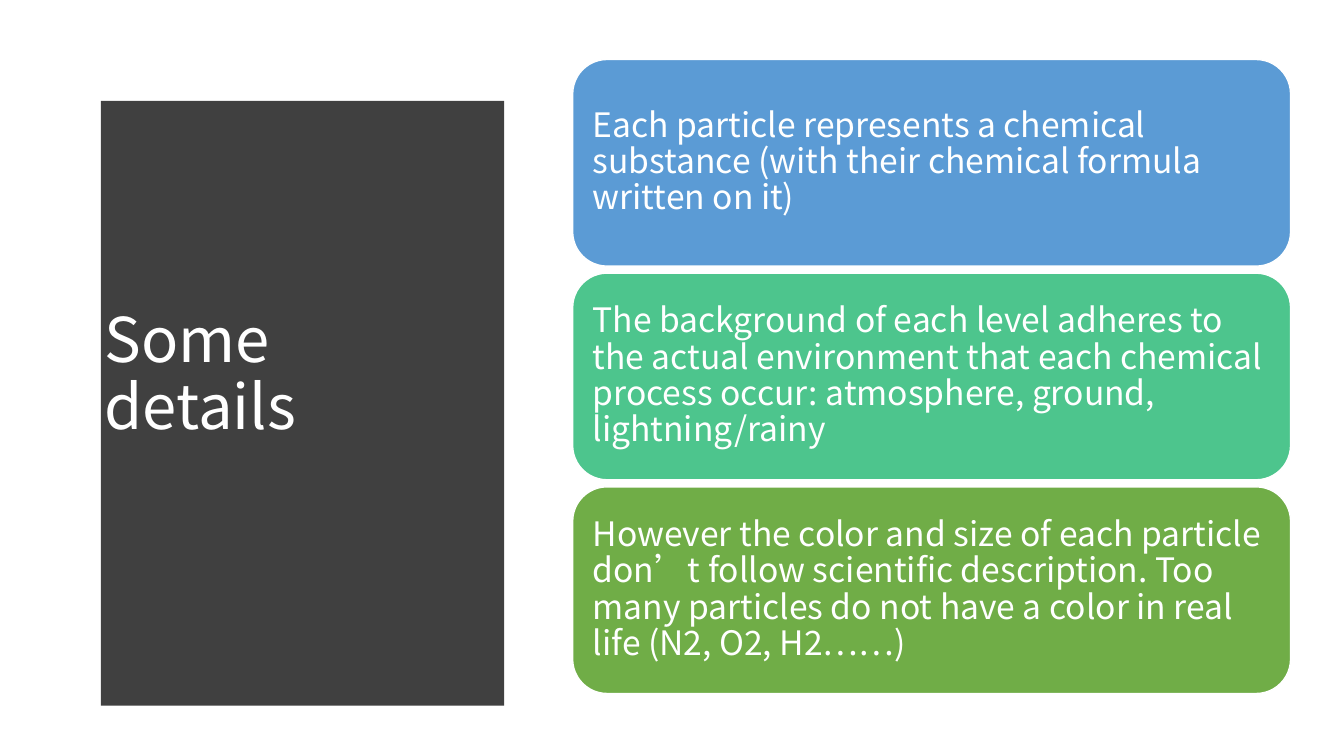
"""Build the "Some details" slide: a curved title panel beside three coloured cards."""
from pptx import Presentation
from pptx.dml.color import RGBColor
from pptx.enum.shapes import MSO_SHAPE as Shape
from pptx.enum.text import MSO_ANCHOR as Anchor, PP_ALIGN as Align
from pptx.oxml.ns import qn
from pptx.util import Inches, Pt

THEME = {
    "font": "Noto Sans CJK SC",
    "white": RGBColor.from_string("FFFFFF"),
    "panel": RGBColor.from_string("404040"),
    "cards": [RGBColor.from_string(code) for code in ("5B9BD5", "4DC58D", "70AD47")],
    "title_size": 44,
    "card_size": 24,
}
CARD_TEXTS = [
    "Each particle represents a chemical substance (with their chemical formula written on it)",
    "The background of each level adheres to the actual environment that each chemical "
    "process occur: atmosphere, ground, lightning/rainy",
    "However the color and size of each particle don’t follow scientific description. "
    "Too many particles do not have a color in real life (N2, O2, H2……)",
]
PANEL_LEFT, PANEL_TOP, PANEL_EDGE, PANEL_BOTTOM = 0.53, 0.52, 5.08, 6.96
PANEL_BULGE, CURVE_STEPS = 0.24, 40
CARD_LEFT, CARD_TOP, CARD_WIDTH, CARD_HEIGHT, CARD_GAP = 5.68, 0.59, 7.12, 2.05, 0.07


def write_text(shape, text, size, inset=0.1):
    """Fill a shape with one left-aligned, vertically centred paragraph."""
    frame = shape.text_frame
    frame.word_wrap = True
    frame.vertical_anchor = Anchor.MIDDLE
    frame.margin_left = frame.margin_right = Inches(inset)
    frame.margin_top = frame.margin_bottom = Inches(inset)
    paragraph = frame.paragraphs[0]
    paragraph.alignment = Align.LEFT
    paragraph.line_spacing = 0.9
    run = paragraph.add_run()
    run.text = text
    run.font.size = Pt(size)
    run.font.name = THEME["font"]
    run.font.color.rgb = THEME["white"]
    east_asian = run.font._element.makeelement(qn("a:ea"), {"typeface": THEME["font"]})
    run.font._element.find(qn("a:latin")).addnext(east_asian)


presentation = Presentation()
presentation.slide_width = Inches(13.33)
presentation.slide_height = Inches(7.5)
slide = presentation.slides.add_slide(presentation.slide_layouts[6])

curve = []
for step in range(CURVE_STEPS + 1):
    share = step / CURVE_STEPS
    bow = PANEL_BULGE * 4 * share * (1 - share)
    curve.append((PANEL_EDGE + bow, PANEL_TOP + share * (PANEL_BOTTOM - PANEL_TOP)))
builder = slide.shapes.build_freeform(PANEL_LEFT, PANEL_TOP, scale=Inches(1))
builder.add_line_segments(curve + [(PANEL_LEFT, PANEL_BOTTOM)], close=True)
panel = builder.convert_to_shape()
panel.shadow.inherit = False
panel.fill.solid()
panel.fill.fore_color.rgb = THEME["panel"]
panel.line.fill.background()

title = slide.shapes.add_textbox(Inches(0.94), Inches(1.11), Inches(3.74), Inches(5.24))
write_text(title, "Some details", THEME["title_size"])

for row, (text, color) in enumerate(zip(CARD_TEXTS, THEME["cards"])):
    top = CARD_TOP + row * (CARD_HEIGHT + CARD_GAP)
    card = slide.shapes.add_shape(
        Shape.ROUNDED_RECTANGLE,
        Inches(CARD_LEFT), Inches(top), Inches(CARD_WIDTH), Inches(CARD_HEIGHT),
    )
    card.shadow.inherit = False
    card.fill.solid()
    card.fill.fore_color.rgb = color
    card.line.color.rgb = THEME["white"]
    card.line.width = Pt(1)
    write_text(card, text, THEME["card_size"])

presentation.save("out.pptx")
